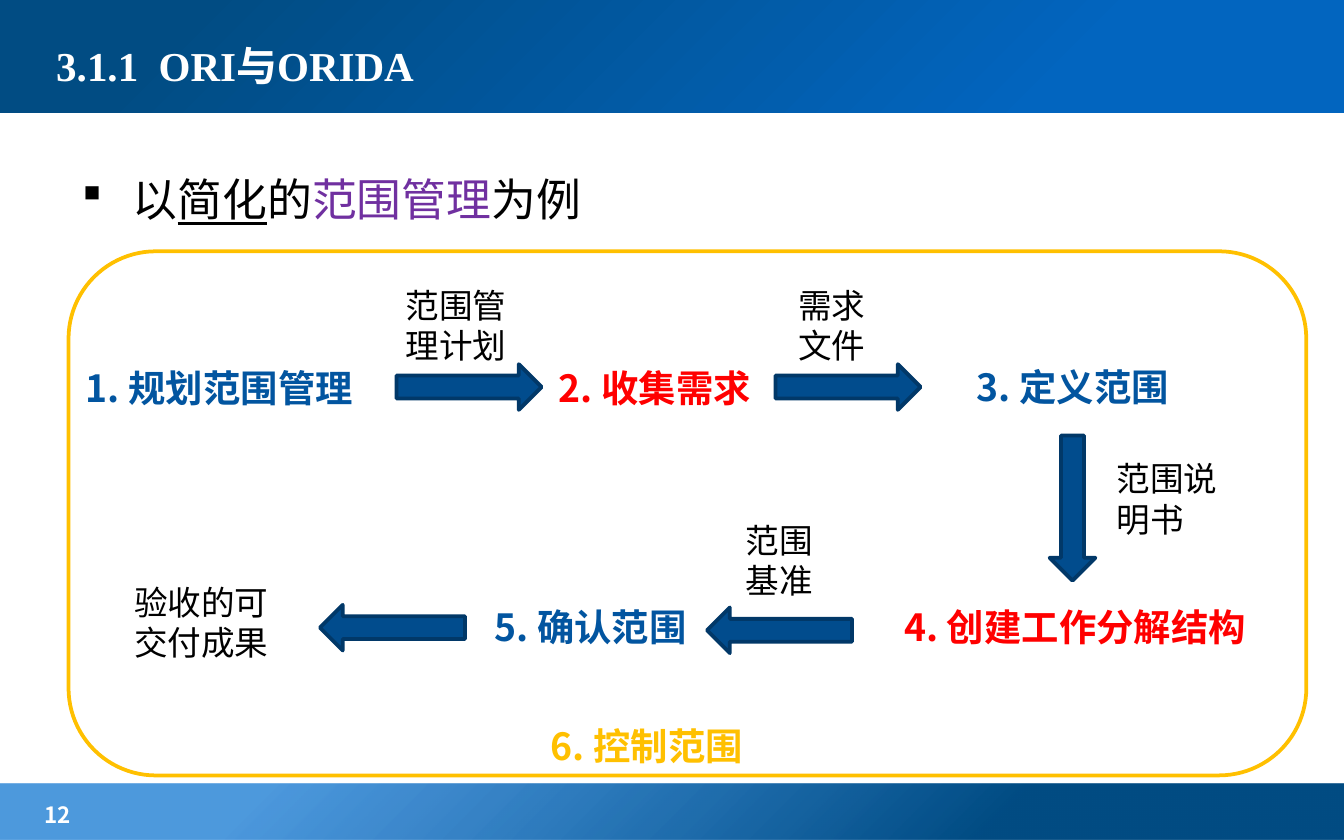
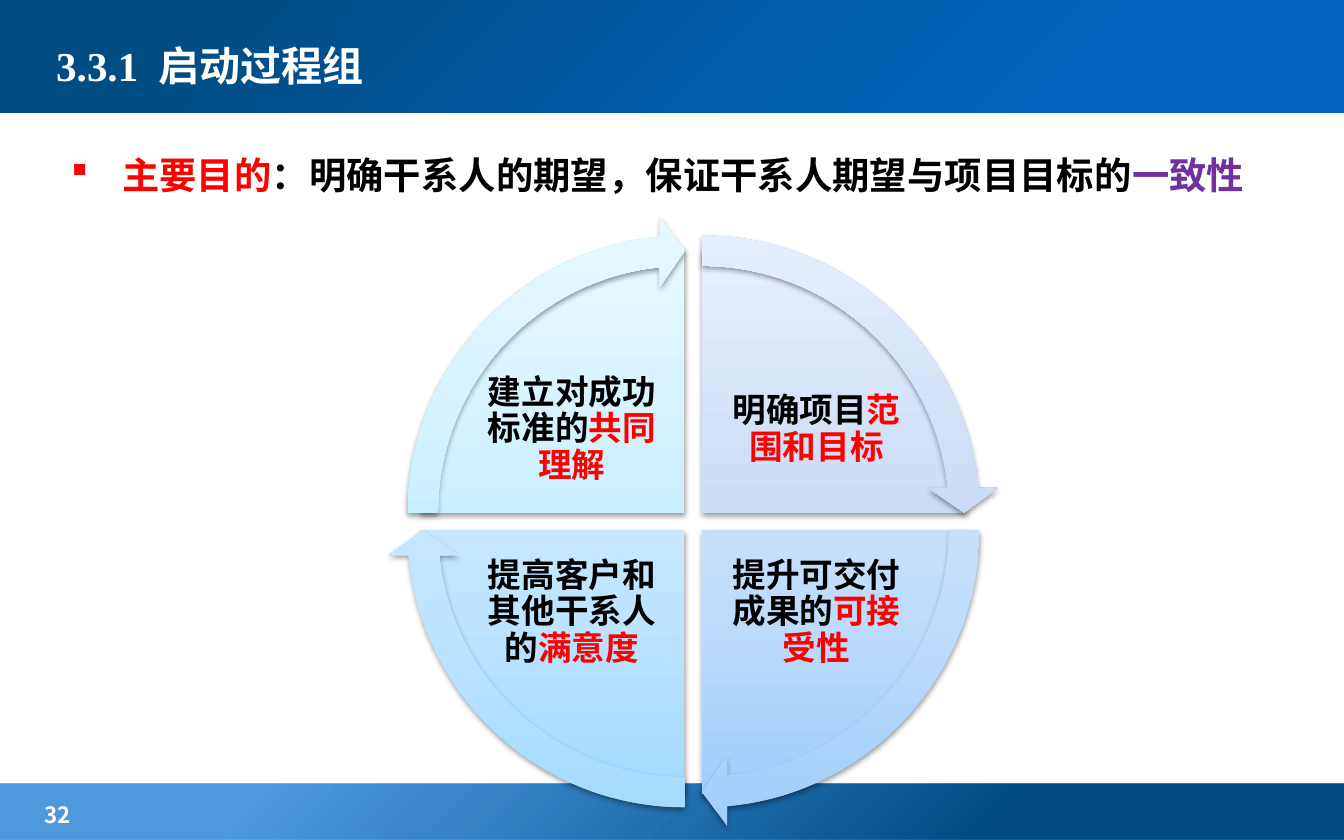
import pptx
import pptx.dml.color
import pptx.enum.shapes
import pptx.enum.text
import pptx.oxml
import pptx.oxml.ns
import pptx.util
from lxml import etree

Inches = pptx.util.Inches
Pt = pptx.util.Pt
SHAPE = pptx.enum.shapes.MSO_SHAPE
ALIGN = pptx.enum.text.PP_ALIGN
ANCHOR = pptx.enum.text.MSO_ANCHOR
qn = pptx.oxml.ns.qn

C = {
    "white": "FFFFFF", "black": "000000", "red": "FF0000", "purple": "7030A0",
    "blue": "0255A0", "gold": "FFC000", "arrow": "014C8D", "arrow_line": "013868",
    "navy": "014C83", "royal": "0265BF", "sky": "026DCE",
}
SANS, SERIF, BODY = "Noto Sans CJK SC", "Times New Roman", "Roboto"

BANDS = [
    (5.83, 0.42, [(26, C["navy"], 100), (80, C["sky"], 70)]),
    (-0.03, 0.87, [(21, C["royal"], 100), (86, C["navy"], 100)]),
]

SCOPE = {
    "title": "3.1.1  ORI与ORIDA",
    "page": "12",
    "lead": [("以", {}), ("简化", {"underline": True}), ("的", {}),
             ("范围管理", {"color": "purple"}), ("为例", {})],
    "steps": [
        ("1. 规划范围管理", 0.54, 2.67, 2.23, "blue"),
        ("2. 收集需求", 4.06, 2.67, 1.65, "red"),
        ("3. 定义范围", 7.17, 2.66, 1.65, "blue"),
        ("4. 创建工作分解结构", 6.63, 4.45, 2.8, "red"),
        ("5. 确认范围", 3.58, 4.45, 1.65, "blue"),
        ("6. 控制范围", 4, 5.33, 1.71, "gold"),
    ],
    "outputs": [
        ("范围管理计划", 2.92, 2.07, 1.03),
        ("需求文件", 5.84, 2.07, 0.88),
        ("范围说明书", 8.21, 3.36, 1.03),
        ("范围基准", 5.45, 3.82, 0.89),
        ("验收的可交付成果", 0.9, 4.28, 1.34),
    ],
    "arrows": [(2.95, 2.71, 0), (5.77, 2.71, 0), (7.44, 3.61, 90),
               (5.26, 4.52, 180), (2.38, 4.5, 180)],
}

INITIATION = {
    "title": "3.3.1  启动过程组",
    "page": "32",
    "lead": [("主要目的", {"color": "red"}),
             ("：明确干系人的期望，保证干系人期望与项目目标的", {}),
             ("一致性", {"color": "purple"})],
    "quadrants": [
        ("明确项目", "范围和目标", ("A6C4F1", "C1D5F4", "E7EFFC")),
        ("提升可交付成果的", "可接受性", ("A1CEFB", "BEDCFB", "E5F1FF")),
        ("提高客户和其他干系人的", "满意度", ("A3DAFF", "BEE4FF", "E6F4FF")),
        ("建立对成功标准的", "共同理解", ("A7E6FF", "C1EDFF", "E7F8FF")),
    ],
}


def rgb(value):
    return pptx.dml.color.RGBColor.from_string(value)


def add_text(slide, runs, x, y, w, h, size=18, font=SANS, color="black", bold=False,
             align=ALIGN.LEFT, anchor=ANCHOR.TOP, inset=None, spacing=None,
             bullet=False, grow=False):
    sp = slide.shapes.add_textbox(Inches(x), Inches(y), Inches(w), Inches(h))
    tf = sp.text_frame
    tf.word_wrap = True
    tf.vertical_anchor = anchor
    if grow:
        tf.auto_size = pptx.enum.text.MSO_AUTO_SIZE.SHAPE_TO_FIT_TEXT
    if inset is not None:
        tf.margin_left = tf.margin_right = Inches(inset)
        tf.margin_top = tf.margin_bottom = Inches(inset)
    p = tf.paragraphs[0]
    p.alignment = align
    if spacing:
        p.line_spacing = spacing
    if bullet:
        pPr = p._p.get_or_add_pPr()
        pPr.set("marL", str(Inches(0.38)))
        pPr.set("indent", str(-Inches(0.38)))
        etree.SubElement(pPr, qn("a:buFont")).set("typeface", "Wingdings")
        etree.SubElement(pPr, qn("a:buChar")).set("char", "§")
    for text, style in [(runs, {})] if isinstance(runs, str) else runs:
        r = p.add_run()
        r.text = text
        r.font.size = Pt(size)
        r.font.name = font
        r.font.bold = bold
        r.font.underline = style.get("underline")
        r.font.color.rgb = rgb(C[style.get("color", color)])
        etree.SubElement(r._r.get_or_add_rPr(), qn("a:ea")).set("typeface", SANS)
    return sp


def add_shape(slide, kind, x, y, w, h, fill=None, line=None, adjust=()):
    sp = slide.shapes.add_shape(kind, Inches(x), Inches(y), Inches(w), Inches(h))
    sp.shadow.inherit = False
    for i, value in enumerate(adjust):
        sp.adjustments[i] = value
    if fill:
        sp.fill.solid()
        sp.fill.fore_color.rgb = rgb(fill)
    else:
        sp.fill.background()
    if line:
        sp.line.color.rgb = rgb(line)
        sp.line.width = Pt(2)
    else:
        sp.line.fill.background()
    return sp


def set_gradient(sp, stops, angle=None):
    grad = etree.Element(qn("a:gradFill"), rotWithShape="1")
    gs_list = etree.SubElement(grad, qn("a:gsLst"))
    for pos, color, alpha in stops:
        gs = etree.SubElement(gs_list, qn("a:gs"), pos=str(pos * 1000))
        clr = etree.SubElement(gs, qn("a:srgbClr"), val=color)
        if alpha < 100:
            etree.SubElement(clr, qn("a:alpha"), val=str(alpha * 1000))
    if angle is None:
        circle = etree.SubElement(grad, qn("a:path"))
        circle.set("path", "circle")
        etree.SubElement(circle, qn("a:fillToRect"), l="100000", t="100000")
    else:
        etree.SubElement(grad, qn("a:lin"), ang=str(angle * 60000), scaled="1")
    spPr = sp._element.spPr
    spPr.replace(spPr.find(qn("a:noFill")), grad)


def set_shadow(sp):
    effects = sp._element.spPr.find(qn("a:effectLst"))
    shadow = etree.SubElement(effects, qn("a:outerShdw"), blurRad=str(Pt(3.1)),
                              dist=str(Pt(1.6)), dir="5400000", rotWithShape="0")
    clr = etree.SubElement(shadow, qn("a:srgbClr"), val=C["black"])
    etree.SubElement(clr, qn("a:alpha"), val="38000")


def add_base(prs, content):
    slide = prs.slides.add_slide(prs.slide_layouts[6])
    for y, h, stops in BANDS:
        set_gradient(add_shape(slide, SHAPE.RECTANGLE, 0, y, 10, h), stops)
    add_text(slide, content["page"], 0.23, 5.91, 1.57, 0.26, size=12,
             color="white", bold=True)
    add_text(slide, content["title"], 0.32, 0.13, 6.38, 0.71, size=22, font=SERIF,
             color="white", bold=True, anchor=ANCHOR.MIDDLE)
    return slide


def build_scope(prs):
    slide = add_base(prs, SCOPE)
    add_text(slide, SCOPE["lead"], 0.51, 1.03, 8.98, 3.9, size=24,
             spacing=1.5, bullet=True)
    for text, x, y, w, color in SCOPE["steps"]:
        add_text(slide, text, x, y, w, 0.44, size=20, color=color, bold=True, grow=True)
    for x, y, rotation in SCOPE["arrows"]:
        sp = add_shape(slide, SHAPE.RIGHT_ARROW, x, y, 1.08, 0.34,
                       C["arrow"], C["arrow_line"])
        sp.rotation = rotation
    for text, x, y, w in SCOPE["outputs"]:
        add_text(slide, text, x, y, w, 0.71, font=BODY, grow=True)
    add_shape(slide, SHAPE.ROUNDED_RECTANGLE, 0.51, 1.87, 9.21, 3.9, line=C["gold"])


def build_initiation(prs):
    slide = add_base(prs, INITIATION)
    add_text(slide, INITIATION["lead"], 0.43, 0.92, 8.98, 3.9, size=20, font=SERIF,
             bold=True, spacing=1.5, bullet=True)
    quarter, full, head = 54, 216, 3.275
    pie, ring, gap = 3.93, 4.42, 0.13
    arrows = []
    for i, (text, key, colors) in enumerate(INITIATION["quadrants"]):
        right, bottom = i < 2, i in (1, 2)
        x, y = 3.13 + gap * right, 1.85 + gap * bottom
        start = (162 + quarter * i) % full
        stops = [(pos, color, 100) for pos, color in zip((0, 35, 100), colors)]
        sp = add_shape(slide, SHAPE.PIE, x, y, pie, pie,
                       adjust=(start, (start + quarter) % full))
        set_gradient(sp, stops, 270)
        set_shadow(sp)
        add_text(slide, [(text, {}), (key, {"color": "red"})],
                 5.35 if right else 3.53, 4.02 if bottom else 2.66, 1.45, 1.08,
                 font=SERIF, bold=True, align=ALIGN.CENTER, anchor=ANCHOR.MIDDLE,
                 inset=0.03, spacing=0.9)
        arrows.append((x, y, start, stops))
    offset = (ring - pie) / 2
    for x, y, start, stops in arrows:
        sp = add_shape(slide, SHAPE.CIRCULAR_ARROW, x - offset, y - offset, ring, ring,
                       adjust=(0.051, head, start + quarter - head, start, 0.059))
        set_gradient(sp, stops, 270)
        set_shadow(sp)


def main():
    prs = pptx.Presentation()
    prs.slide_width, prs.slide_height = Inches(10), Inches(6.25)
    build_scope(prs)
    build_initiation(prs)
    prs.save("out.pptx")


if __name__ == "__main__":
    main()
